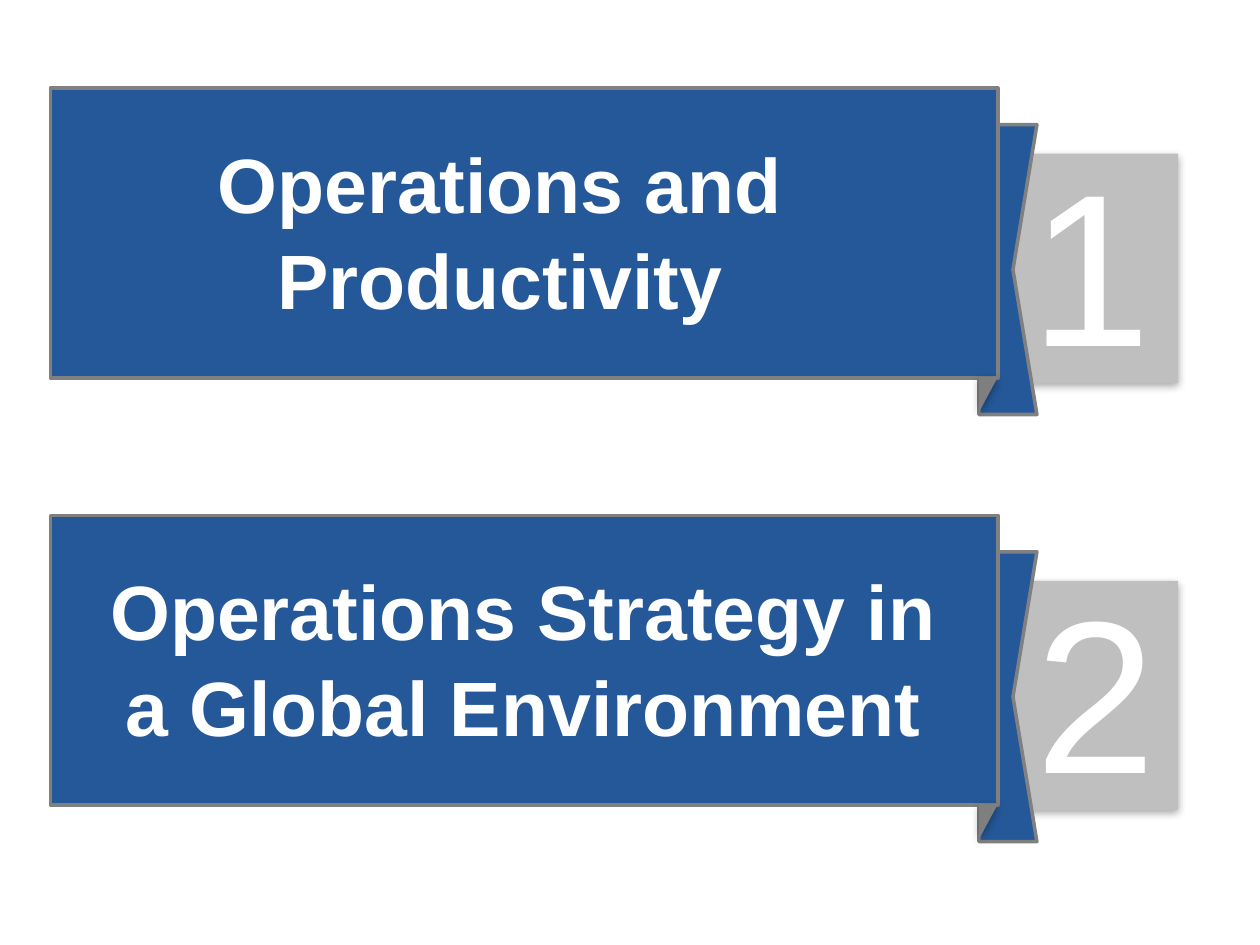
import pptx
import pptx.util
import pptx.dml.color
import pptx.enum.shapes
import pptx.enum.text
import pptx.oxml
import pptx.oxml.ns

PX = 9144
BLUE, GRAY, FOLD, LIGHT, WHITE = "255898", "808080", "7F7F7F", "BFBFBF", "FFFFFF"
RECT = pptx.enum.shapes.MSO_SHAPE.RECTANGLE
ALIGN = pptx.enum.text.PP_ALIGN
ANCHOR = pptx.enum.text.MSO_ANCHOR
SIZE = pptx.enum.text.MSO_AUTO_SIZE


def px(*values):
    """Turn px lengths into EMU."""
    return [v * PX for v in values]


def rgb(hex_string):
    """Return the colour for a hex string."""
    return pptx.dml.color.RGBColor.from_string(hex_string)


def style(sp, fill, line=None):
    """Fill and outline a shape and drop its theme shadow."""
    sp.shadow.inherit = False
    sp.fill.solid()
    sp.fill.fore_color.rgb = rgb(fill)
    if line:
        sp.line.color.rgb = rgb(line)
        sp.line.width = pptx.util.Pt(2)
    else:
        sp.line.fill.background()


def add_shadow(sp):
    """Give a shape a soft shadow falling downwards."""
    effects = sp._element.spPr.find(pptx.oxml.ns.qn("a:effectLst"))
    effects.append(pptx.oxml.parse_xml(
        f'<a:outerShdw {pptx.oxml.ns.nsdecls("a")} blurRad="63500" dist="22860" '
        'dir="5400000" rotWithShape="0"><a:srgbClr val="000000">'
        '<a:alpha val="35000"/></a:srgbClr></a:outerShdw>'))


def add_rect(shapes, x, y, w, h, fill, line=None):
    """Add a styled rectangle."""
    sp = shapes.add_shape(RECT, *px(x, y, w, h))
    style(sp, fill, line)
    return sp


def add_outline(shapes, x, y, points, fill, line=None):
    """Add a closed polygon whose points are relative to x, y."""
    (x0, y0), *rest = [(x + dx, y + dy) for dx, dy in points]
    builder = shapes.build_freeform(x0, y0, scale=PX)
    builder.add_line_segments(rest, close=True)
    sp = builder.convert_to_shape()
    style(sp, fill, line)
    return sp


def add_text(s, x, y, w, h, text, size, bold=False):
    """Add a white Arial text box and return its frame."""
    tf = s.shapes.add_textbox(*px(x, y, w, h)).text_frame
    tf.word_wrap = True
    tf.text = text
    font = tf.paragraphs[0].runs[0].font
    font.name, font.size, font.bold = "Arial", pptx.util.Pt(size), bold
    font.color.rgb = rgb(WHITE)
    return tf


def add_banner(s, x, y, number, title, title_x, title_w, number_x):
    """Build one numbered ribbon banner with its corner at x, y."""
    add_shadow(add_rect(s.shapes, x + 759, y + 52, 136, 182, LIGHT))

    ribbon = s.shapes.add_group_shape().shapes
    tail = [(0, 0), (46, 0), (27, 115), (46, 230), (0, 230)]
    add_outline(ribbon, x + 737, y + 29, tail, BLUE, GRAY)
    add_rect(ribbon, x, y, 752, 230, BLUE, GRAY)
    fold = [(15, 0), (0, 28), (0, 0)]
    add_shadow(add_outline(ribbon, x + 737, y + 229, fold, FOLD))

    tf = add_text(s, x + title_x, y - 7, title_w, 237, title, 44, True)
    tf.vertical_anchor = ANCHOR.MIDDLE
    p = tf.paragraphs[0]
    p.alignment = ALIGN.CENTER
    p.line_spacing = 1.04

    tf = add_text(s, x + number_x, y + 25, 117, 219, number, 124)
    tf.word_wrap = False
    tf.auto_size = SIZE.SHAPE_TO_FIT_TEXT
    tf.vertical_anchor = ANCHOR.BOTTOM


def main():
    """Build the slide and save it."""
    prs = pptx.Presentation()
    prs.slide_width, prs.slide_height = px(1000, 750)
    s = prs.slides.add_slide(prs.slide_layouts[6])
    banners = [
        ("Operations and Productivity", 66, 582, 768),
        ("Operations Strategy in a Global Environment", 32, 687, 772),
    ]
    for i, (title, title_x, title_w, number_x) in enumerate(banners):
        add_banner(s, 40, 70 + 339 * i, str(i + 1), title, title_x, title_w, number_x)
    prs.save("out.pptx")


if __name__ == "__main__":
    main()
